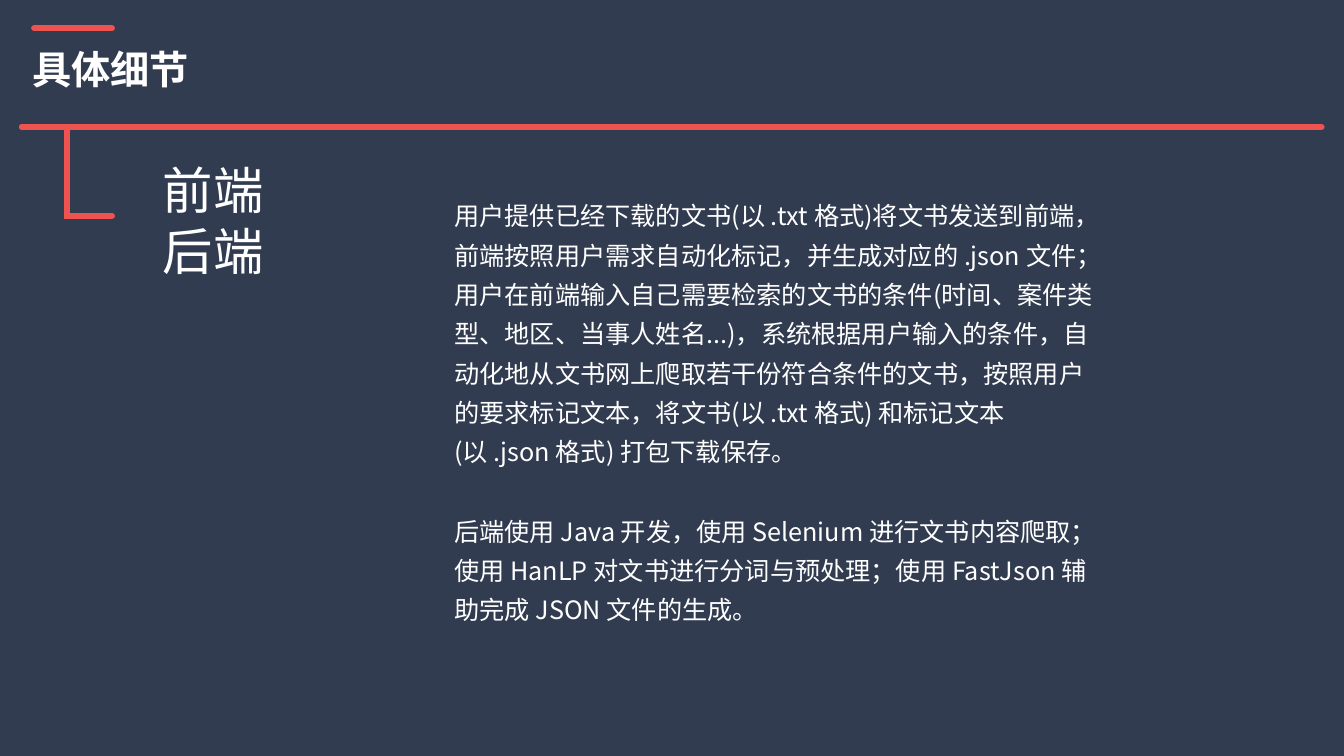
"""Build a dark slide on front-end and back-end details."""
import dataclasses

import lxml.etree
import pptx
import pptx.dml.color
import pptx.enum.shapes
import pptx.enum.text
import pptx.oxml.ns
import pptx.util

Pt = pptx.util.Pt
Align = pptx.enum.text.PP_ALIGN
Anchor = pptx.enum.text.MSO_ANCHOR
Fit = pptx.enum.text.MSO_AUTO_SIZE
Kind = pptx.enum.shapes.MSO_CONNECTOR
qn = pptx.oxml.ns.qn

NAVY = pptx.dml.color.RGBColor(0x32, 0x3C, 0x50)
CORAL = pptx.dml.color.RGBColor(0xEF, 0x53, 0x50)
WHITE = pptx.dml.color.RGBColor(0xFF, 0xFF, 0xFF)
HEAD = "Noto Sans CJK SC"
BODY = "Noto Sans CJK JP"


@dataclasses.dataclass(frozen=True)
class Rule:
    start: tuple[float, float]
    end: tuple[float, float]
    kind: Kind = Kind.STRAIGHT


@dataclasses.dataclass(frozen=True)
class Block:
    left: float
    top: float
    width: float
    height: float
    lines: tuple[str, ...]
    style: dict


EDGE, BAR, STUB = 15.8, 90.7, 79.9
RULES = (
    Rule((24.5, 20.2), (STUB, 20.2)),
    Rule((EDGE, BAR), (943.9, BAR)),
    Rule((EDGE, BAR), (STUB, 154.1), Kind.ELBOW),
)

TITLE = Block(EDGE, 28.8, 131.8, 41, ("具体细节",),
              dict(size=28, bold=True, wrap=False))
PROSE = dict(size=18, face=BODY, space=1.3)
COLUMN = 317.5
BLOCKS = (
    Block(81.4, 110.2, 141.8, 94.3, ("前端", "后端"),
          dict(size=36, align=Align.CENTER)),
    Block(COLUMN, 125.3, 472.3, 219.6, (
        "用户提供已经下载的文书(以 .txt 格式)将文书发送到前端，前端按照用户需求自动化标记，"
        "并生成对应的 .json 文件；",
        "用户在前端输入自己需要检索的文书的条件(时间、案件类型、地区、当事人姓名...)，"
        "系统根据用户输入的条件，自动化地从文书网上爬取若干份符合条件的文书，"
        "按照用户的要求标记文本，将文书(以 .txt 格式) 和标记文本(以 .json 格式) 打包下载保存。",
    ), dict(PROSE, anchor=Anchor.MIDDLE)),
    Block(COLUMN, 358.6, 480.2, 90.7, (
        "后端使用 Java 开发，使用 Selenium 进行文书内容爬取；"
        "使用 HanLP 对文书进行分词与预处理；使用 FastJson 辅助完成 JSON 文件的生成。",
    ), PROSE),
)


def write(frame, lines: tuple[str, ...], *, size: float, face: str = HEAD,
          bold: bool = False, align: Align = Align.LEFT, space: float = 1.0,
          anchor: Anchor = Anchor.TOP, wrap: bool = True) -> None:
    frame.auto_size = Fit.NONE
    frame.word_wrap = wrap
    frame.vertical_anchor = anchor
    for index, line in enumerate(lines):
        para = frame.add_paragraph() if index else frame.paragraphs[0]
        para.alignment = align
        para.line_spacing = space
        para.space_before = Pt(0)
        run = para.add_run()
        run.text = line
        font = run.font
        font.size = Pt(size)
        font.bold = bold
        font.color.rgb = WHITE
        font.name = face
        east = lxml.etree.SubElement(run._r.get_or_add_rPr(), qn("a:ea"))
        east.set("typeface", face)


def place(shape, block: Block) -> None:
    shape.left, shape.top = Pt(block.left), Pt(block.top)
    shape.width, shape.height = Pt(block.width), Pt(block.height)
    write(shape.text_frame, block.lines, **block.style)


def draw(shapes, rule: Rule) -> None:
    link = shapes.add_connector(rule.kind, *map(Pt, rule.start + rule.end))
    link.line.color.rgb = CORAL
    link.line.width = Pt(4.5)
    line = link.line._get_or_add_ln()
    line.set("cap", "rnd")
    lxml.etree.SubElement(line, qn("a:miter")).set("lim", "800000")
    lxml.etree.SubElement(link._element.spPr, qn("a:effectLst"))


def main() -> None:
    deck = pptx.Presentation()
    deck.slide_width, deck.slide_height = Pt(960), Pt(540)
    slide = deck.slides.add_slide(deck.slide_layouts[5])
    slide.background.fill.solid()
    slide.background.fill.fore_color.rgb = NAVY
    place(slide.shapes.title, TITLE)
    for rule in RULES:
        draw(slide.shapes, rule)
    for block in BLOCKS:
        place(slide.shapes.add_textbox(0, 0, 0, 0), block)
    deck.save("out.pptx")


if __name__ == "__main__":
    main()
